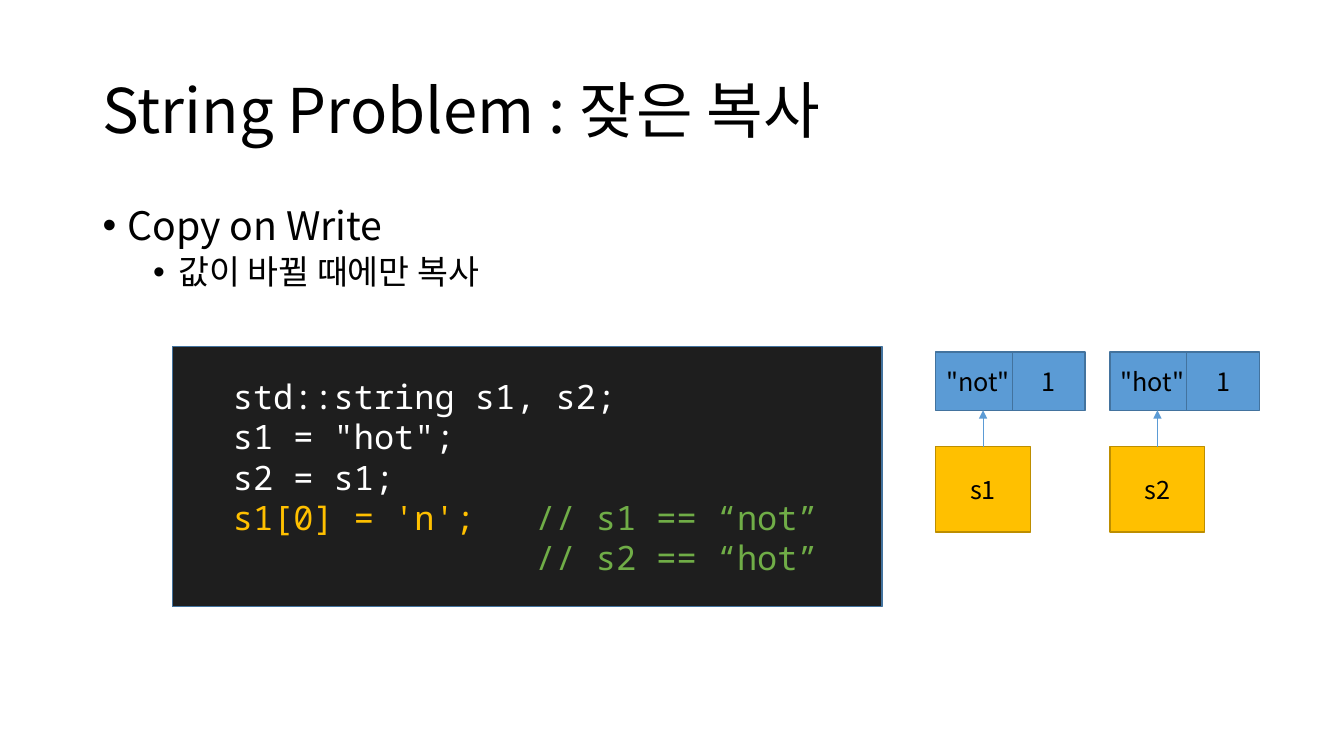
from pptx import Presentation
from pptx.dml.color import RGBColor
from pptx.enum.shapes import MSO_CONNECTOR as CONN, MSO_SHAPE as SHAPE
from pptx.enum.text import MSO_ANCHOR as ANCHOR, PP_ALIGN as ALIGN
from pptx.oxml.ns import qn
from pptx.util import Inches, Pt
from lxml import etree

SANS, MONO = "Noto Sans CJK KR", "Noto Sans Mono"
BLACK, WHITE, GOLD, GREEN = "000000", "FFFFFF", "FFC000", "70AD47"
BLUE, NAVY = "5B9BD5", "43739E"


def color(value):
    return RGBColor.from_string(value)


def add_run(p, text, size, font=SANS, fill=BLACK):
    r = p.add_run()
    r.text = text
    r.font.size = Pt(size)
    r.font.name = font
    r.font.color.rgb = color(fill)
    etree.SubElement(r.font._element, qn("a:ea"), typeface=font)


def add_text(slide, x, y, w, h, anchor=ANCHOR.TOP):
    tf = slide.shapes.add_textbox(Inches(x), Inches(y), Inches(w), Inches(h)).text_frame
    tf.word_wrap = True
    tf.vertical_anchor = anchor
    return tf


def add_rect(shapes, x, y, w, h, fill, line):
    s = shapes.add_shape(SHAPE.RECTANGLE, Inches(x), Inches(y), Inches(w), Inches(h))
    s.shadow.inherit = False
    s.fill.solid()
    s.fill.fore_color.rgb = color(fill)
    s.line.color.rgb = color(line)
    s.line.width = Pt(1)
    s.text_frame.word_wrap = True
    s.text_frame.vertical_anchor = ANCHOR.MIDDLE
    return s


def add_cell(shapes, x, y, w, h, text, fill, line):
    s = add_rect(shapes, x, y, w, h, fill, line)
    p = s.text_frame.paragraphs[0]
    p.alignment = ALIGN.CENTER
    add_run(p, text, 18)
    return s


def add_title(slide, x, y, w, h):
    p = add_text(slide, x, y, w, h, ANCHOR.MIDDLE).paragraphs[0]
    p.line_spacing = 0.9
    add_run(p, "String Problem : 잦은 복사", 44)


def add_bullets(slide, x, y, w, h):
    tf = add_text(slide, x, y, w, h)
    items = [("Copy on Write", 28), ("값이 바뀔 때에만 복사", 24)]
    for level, (text, size) in enumerate(items):
        p = tf.add_paragraph() if level else tf.paragraphs[0]
        pPr = p._p.get_or_add_pPr()
        pPr.set("marL", str(Inches(0.25 + 0.5 * level)))
        pPr.set("indent", str(Inches(-0.25)))
        etree.SubElement(pPr, qn("a:buFont"), typeface="Arial")
        etree.SubElement(pPr, qn("a:buChar"), char="•")
        p.level = level
        p.line_spacing = 0.9
        if level:
            p.space_before = Pt(5)
        add_run(p, text, size)


def add_code(slide, x, y, w, h):
    tf = add_rect(slide.shapes, x, y, w, h, "1E1E1E", NAVY).text_frame
    tf.margin_left = Inches(0.6)
    lines = [
        [("std::string s1, s2;", WHITE)],
        [('s1 = "hot";', WHITE)],
        [("s2 = s1;", WHITE)],
        [("s1[0] = 'n'; ", GOLD), ("\t// s1 == “not”", GREEN)],
        [("\t\t\t// s2 == “hot”", GREEN)],
    ]
    for i, line in enumerate(lines):
        p = tf.add_paragraph() if i else tf.paragraphs[0]
        # Tab stops one inch apart line up the comments
        tabs = etree.SubElement(p._p.get_or_add_pPr(), qn("a:tabLst"))
        for stop in (1, 2, 3):
            etree.SubElement(tabs, qn("a:tab"), pos=str(Inches(stop)), algn="l")
        p.alignment = ALIGN.LEFT
        for text, fill in line:
            add_run(p, text, 24, MONO, fill)


def add_string(slide, x, y, name, value, count):
    # Variable below, buffer and reference count above
    var = add_cell(slide.shapes, x, y + 0.94, 0.94, 0.85, name, GOLD, "BD8E00")
    buffer = slide.shapes.add_group_shape().shapes
    add_cell(buffer, x, y, 0.84, 0.58, value, BLUE, NAVY)
    add_cell(buffer, x + 0.76, y, 0.72, 0.58, count, BLUE, NAVY)

    # Pointer from the variable to its buffer
    mid = Inches(x + 0.47)
    arrow = slide.shapes.add_connector(
        CONN.STRAIGHT, mid, Inches(y + 0.94), mid, Inches(y + 0.58))
    arrow.begin_connect(var, 0)
    arrow.line.color.rgb = color(BLUE)
    arrow.line.width = Pt(0.5)
    etree.SubElement(arrow.line._get_or_add_ln(), qn("a:tailEnd"), type="triangle")
    etree.SubElement(arrow._element.spPr, qn("a:effectLst"))


def main():
    prs = Presentation()
    prs.slide_width, prs.slide_height = Inches(13.33), Inches(7.5)
    slide = prs.slides.add_slide(prs.slide_layouts[6])
    add_title(slide, 0.92, 0.4, 11.5, 1.45)
    add_bullets(slide, 0.92, 2, 11.5, 4.76)
    add_code(slide, 1.71, 3.44, 7.04, 2.58)
    for i, (name, value) in enumerate([("s1", '"not"'), ("s2", '"hot"')]):
        add_string(slide, 9.28 + 1.73 * i, 3.49, name, value, "1")
    prs.save("out.pptx")


if __name__ == "__main__":
    main()
